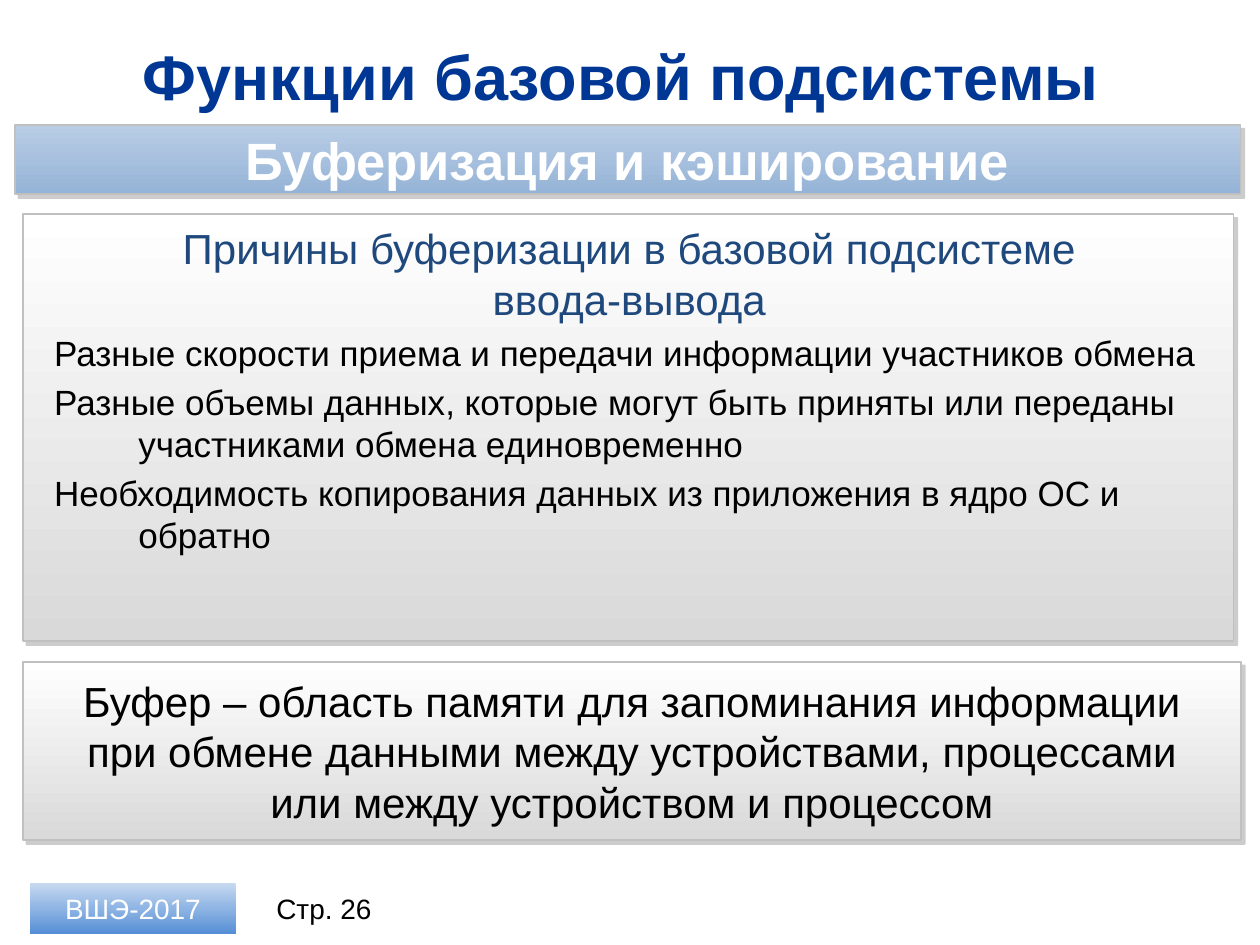
from lxml import etree
from pptx import Presentation
from pptx.dml.color import RGBColor
from pptx.enum.shapes import MSO_SHAPE
from pptx.enum.text import MSO_ANCHOR, MSO_AUTO_SIZE, PP_ALIGN
from pptx.oxml.ns import qn
from pptx.util import Cm, Pt

RECTANGLE = MSO_SHAPE.RECTANGLE
TOP, MIDDLE = MSO_ANCHOR.TOP, MSO_ANCHOR.MIDDLE
LEFT, CENTER = PP_ALIGN.LEFT, PP_ALIGN.CENTER
NO_AUTOFIT = MSO_AUTO_SIZE.NONE

FONT = "Arial"
TITLE_ONLY = 5
PANEL_COLORS = ["FFFFFF", "D9D9D9"]
BANNER_COLORS = ["B9CDE5", "95B3D7"]
BADGE_COLORS = ["C6D9F1", "8EB4E3", "558ED5"]
WIDE_MARGIN = 0.61
REASONS = [
    "Разные скорости приема и передачи информации участников обмена",
    "Разные объемы данных, которые могут быть приняты или переданы "
    "участниками обмена единовременно",
    "Необходимость копирования данных из приложения в ядро ОС и обратно",
]


def color(value):
    return RGBColor.from_string(value)


def add_color_element(parent, value):
    return etree.SubElement(parent, qn("a:srgbClr"), val=value)


def fill_downwards(shape, colors):
    """Fill with evenly spaced gradient stops running from top to bottom."""
    shape.fill.gradient()
    shape.fill.gradient_angle = 270
    stops = shape._element.spPr.find(qn("a:gradFill")).find(qn("a:gsLst"))
    for stop in list(stops):
        stops.remove(stop)
    for index, value in enumerate(colors):
        position = 100000 * index // (len(colors) - 1)
        stop = etree.SubElement(stops, qn("a:gs"), pos=str(position))
        add_color_element(stop, value)


def add_hard_shadow(shape):
    effects = shape._element.spPr.find(qn("a:effectLst"))
    shadow = etree.SubElement(
        effects, qn("a:outerShdw"), blurRad="0", dist=str(Pt(3)),
        dir=str(45 * 60000), algn="tl", rotWithShape="0")
    shadow_color = add_color_element(shadow, "808080")
    etree.SubElement(shadow_color, qn("a:alpha"), val="40000")


def write_text(shape, texts, size, text_color, bold=False, align=CENTER,
               anchor=MIDDLE, margin=0.25, hanging=0, gap=0):
    frame = shape.text_frame
    frame.word_wrap = True
    frame.auto_size = NO_AUTOFIT
    frame.vertical_anchor = anchor
    frame.margin_left = frame.margin_right = Cm(margin)
    for index, text in enumerate(texts):
        paragraph = frame.paragraphs[0] if index == 0 else frame.add_paragraph()
        paragraph.alignment = align
        if index:
            paragraph.space_before = Pt(gap)
        if hanging:
            properties = paragraph._element.get_or_add_pPr()
            properties.set("marL", str(Cm(hanging)))
            properties.set("indent", str(-Cm(hanging)))
        run = paragraph.add_run()
        run.text = text
        run.font.name = FONT
        run.font.size = Pt(size)
        run.font.bold = bold
        run.font.color.rgb = color(text_color)


def add_box(slide, left, top, width, height, colors, framed=True):
    shape = slide.shapes.add_shape(
        RECTANGLE, Cm(left), Cm(top), Cm(width), Cm(height))
    shape.shadow.inherit = False
    fill_downwards(shape, colors)
    if framed:
        shape.line.color.rgb = color("C0C0C0")
        shape.line.width = Pt(1)
        add_hard_shadow(shape)
    else:
        shape.line.fill.background()
    return shape


def add_text(slide, left, top, width, height, texts, size, text_color, **style):
    box = slide.shapes.add_textbox(Cm(left), Cm(top), Cm(width), Cm(height))
    write_text(box, texts, size, text_color, **style)


def place_title(slide, left, top, width, height):
    title = slide.shapes.title
    title.left, title.top = Cm(left), Cm(top)
    title.width, title.height = Cm(width), Cm(height)
    write_text(title, ["Функции базовой подсистемы "], 36, "003794", bold=True)


def add_banner(slide, left, top, width, height):
    banner = add_box(slide, left, top, width, height, BANNER_COLORS)
    write_text(banner, ["Буферизация и кэширование"], 30, "FFFFFF",
               bold=True, margin=WIDE_MARGIN)


def add_reasons_panel(slide, left, top, width, height):
    add_box(slide, left, top, width, height, PANEL_COLORS)
    # Heading
    add_text(slide, left + 2.08, top + 0.05, width - 4.12, 2.31,
             ["Причины буферизации в базовой подсистеме ввода-вывода"],
             24, "1F497D", anchor=TOP)
    # Reasons with a hanging indent
    add_text(slide, left + 0.38, top + 2.24, width - 0.69, height - 2.41,
             REASONS, 20, "000000", align=LEFT, anchor=TOP,
             hanging=1.7, gap=4)


def add_definition(slide, left, top, width, height):
    panel = add_box(slide, left, top, width, height, PANEL_COLORS)
    write_text(panel, ["Буфер – область памяти для запоминания информации "
                       "при обмене данными между устройствами, процессами "
                       "или между устройством и процессом"],
               24, "000000", margin=WIDE_MARGIN)


def add_footer(slide, left, top, height):
    badge = add_box(slide, left, top, 4.14, height, BADGE_COLORS, framed=False)
    write_text(badge, ["ВШЭ-2017"], 16, "FFFFFF")
    add_text(slide, left + 4.55, top, 2.74, height, ["Стр. 26"], 16, "000000")


def main():
    presentation = Presentation()
    presentation.slide_width, presentation.slide_height = Cm(25.4), Cm(19.05)
    slide = presentation.slides.add_slide(
        presentation.slide_layouts[TITLE_ONLY])
    place_title(slide, 0.89, 0.66, 23.6, 1.73)
    add_banner(slide, 0.3, 2.52, 24.71, 1.4)
    add_footer(slide, 0.61, 17.81, 1.02)
    add_reasons_panel(slide, 0.46, 4.32, 24.41, 8.61)
    add_definition(slide, 0.46, 13.34, 24.56, 3.6)
    presentation.save("out.pptx")


if __name__ == "__main__":
    main()
